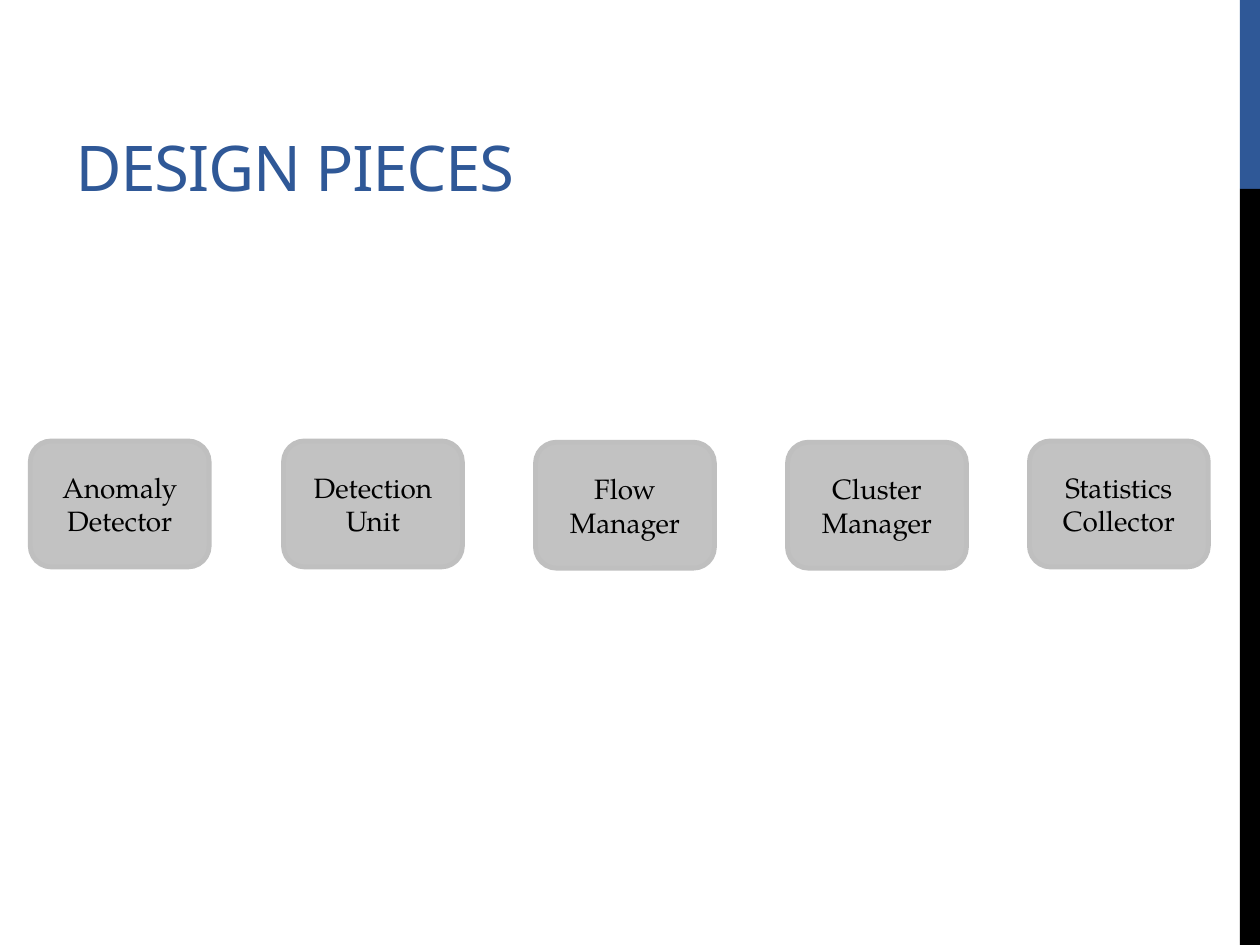
from lxml.etree import SubElement
from pptx import Presentation
from pptx.dml.color import RGBColor
from pptx.enum.shapes import MSO_SHAPE
from pptx.enum.text import MSO_ANCHOR, MSO_AUTO_SIZE, PP_ALIGN
from pptx.oxml.ns import qn
from pptx.util import Inches, Pt

COLORS = {
    "accent": "2F5897",
    "black": "000000",
    "piece": "808080",
    "border": "BFBFBF",
}
PIECES = [
    ("Anomaly Detector", 0, 0),
    ("Detection Unit", 2.01, 0),
    ("Flow Manager", 4.01, 0.01),
    ("Cluster Manager", 6.01, 0.01),
    ("Statistics Collector", 7.93, 0),
]


def color(name):
    return RGBColor.from_string(COLORS[name])


def add_filled(slide, preset, box, fill):
    block = slide.shapes.add_shape(preset, *map(Inches, box))
    block.shadow.inherit = False
    block.fill.solid()
    block.fill.fore_color.rgb = color(fill)
    block.line.fill.background()
    return block


def add_side_band(slide, box):
    left, top, width, height = box
    accent_height = height / 5
    add_filled(slide, MSO_SHAPE.RECTANGLE, (left, top, width, accent_height), "accent")
    add_filled(slide, MSO_SHAPE.RECTANGLE,
               (left, top + accent_height, width, height - accent_height), "black")


def add_heading(slide, box, wording):
    heading = slide.shapes.title
    heading.left, heading.top, heading.width, heading.height = map(Inches, box)
    frame = heading.text_frame
    frame.text = wording
    frame.word_wrap = True
    frame.auto_size = MSO_AUTO_SIZE.NONE
    frame.vertical_anchor = MSO_ANCHOR.BOTTOM
    paragraph = frame.paragraphs[0]
    paragraph.alignment = PP_ALIGN.LEFT
    paragraph.font.name = "Noto Sans"
    paragraph.font.size = Pt(36)
    paragraph.font.color.rgb = color("accent")
    paragraph.runs[0].font._element.set("spc", "-60")


def add_piece(slide, box, wording):
    piece = add_filled(slide, MSO_SHAPE.ROUNDED_RECTANGLE, box, "piece")
    tint = piece._element.spPr.find(qn("a:solidFill")).find(qn("a:srgbClr"))
    SubElement(tint, qn("a:alpha"), val="48000")
    piece.line.color.rgb = color("border")
    piece.line.width = Pt(2.75)
    frame = piece.text_frame
    frame.text = wording
    frame.word_wrap = True
    frame.vertical_anchor = MSO_ANCHOR.MIDDLE
    paragraph = frame.paragraphs[0]
    paragraph.alignment = PP_ALIGN.CENTER
    paragraph.font.name = "TeX Gyre Pagella"
    paragraph.font.size = Pt(16)
    paragraph.font.color.rgb = color("black")


def add_piece_row(slide, box):
    left, top, width, height = box
    piece_width = width - PIECES[-1][1]
    for wording, across, down in PIECES:
        add_piece(slide, (left + across, top + down, piece_width, height), wording)


def main():
    deck = Presentation()
    deck.slide_width, deck.slide_height = Inches(10), Inches(7.5)
    slide = deck.slides.add_slide(deck.slide_layouts[5])
    add_side_band(slide, (9.84, 0, 0.16, 7.5))
    add_heading(slide, (0.5, 0.17, 9.17, 1.5), "DESIGN PIECES")
    add_piece_row(slide, (0.24, 3.5, 9.35, 1))
    deck.save("out.pptx")


if __name__ == "__main__":
    main()
